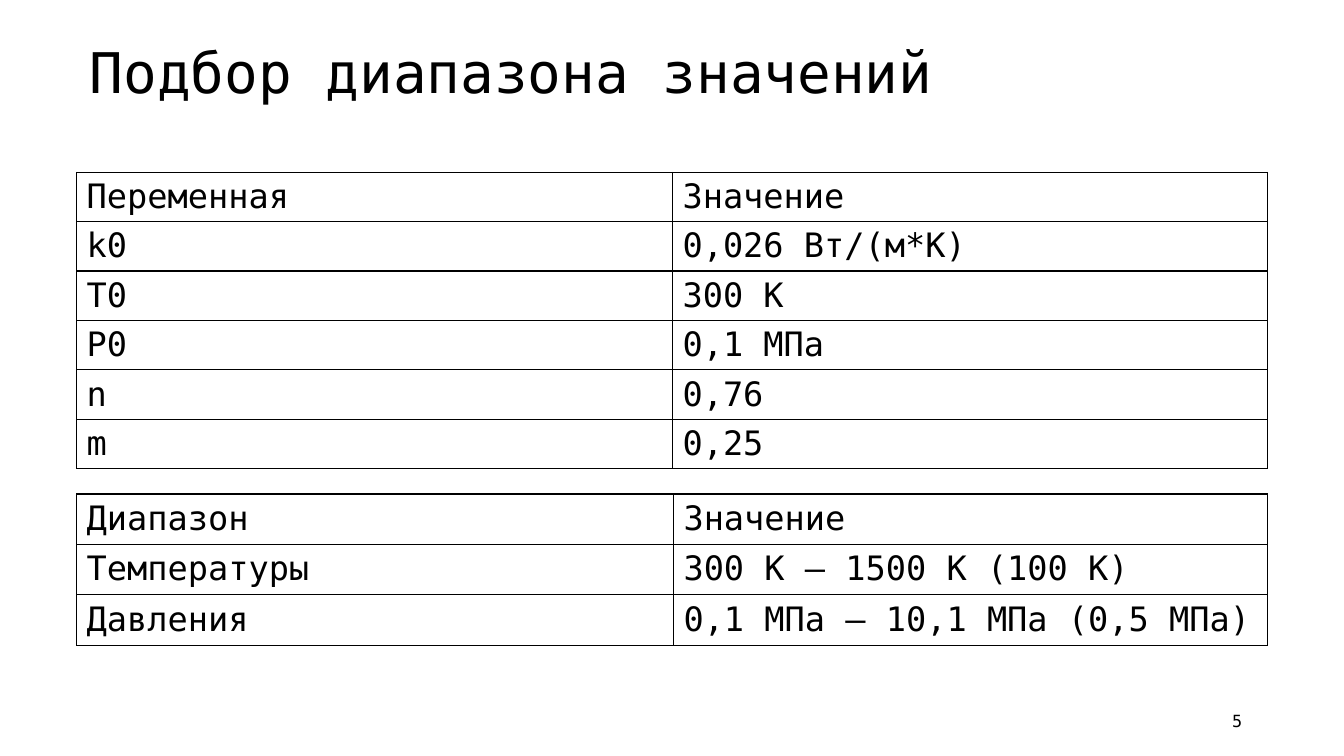
from lxml import etree
from pptx import Presentation
from pptx.dml.color import RGBColor
from pptx.enum.text import MSO_ANCHOR, MSO_AUTO_SIZE, PP_ALIGN
from pptx.oxml.ns import qn
from pptx.util import Inches, Pt

BLACK = RGBColor(0x00, 0x00, 0x00)
LEFT, RIGHT = PP_ALIGN.LEFT, PP_ALIGN.RIGHT
MIDDLE = MSO_ANCHOR.MIDDLE
NO_AUTOFIT = MSO_AUTO_SIZE.NONE

VARIABLES = [
    ("Переменная", "Значение"),
    ("k0", "0,026 Вт/(м*К)"),
    ("T0", "300 К"),
    ("P0", "0,1 МПа"),
    ("n", "0,76"),
    ("m", "0,25"),
]
RANGES = [
    ("Диапазон", "Значение"),
    ("Температуры", "300 К – 1500 К (100 К)"),
    ("Давления", "0,1 МПа – 10,1 МПа (0,5 МПа)"),
]


class SlideBuilder:
    font = "DejaVu Sans Mono"
    color = BLACK
    row_height = 0.49

    def __init__(self, prs):
        self.slide = prs.slides.add_slide(prs.slide_layouts[5])

    def set_text(self, tf, text, size, align=LEFT):
        tf.text = text
        p = tf.paragraphs[0]
        p.alignment = align
        for r in p.runs:
            r.font.name = self.font
            r.font.size = Pt(size)
            r.font.color.rgb = self.color
        return p

    def title(self, text, left, top, width, height):
        sp = self.slide.shapes.title
        sp.left, sp.top = Inches(left), Inches(top)
        sp.width, sp.height = Inches(width), Inches(height)
        tf = sp.text_frame
        tf.word_wrap = True
        tf.auto_size = NO_AUTOFIT
        tf.vertical_anchor = MIDDLE
        self.set_text(tf, text, 40).line_spacing = 0.9

    def page_number(self, text, left, top, width, height):
        sp = self.slide.shapes.add_textbox(
            Inches(left), Inches(top), Inches(width), Inches(height))
        tf = sp.text_frame
        tf.word_wrap = True
        tf.vertical_anchor = MIDDLE
        self.set_text(tf, text, 12, RIGHT)

    def table(self, rows, left, top, col_widths):
        frame = self.slide.shapes.add_table(
            len(rows), len(col_widths), Inches(left), Inches(top),
            Inches(sum(col_widths)), Inches(self.row_height * len(rows)))
        table = frame.table
        table.first_row = table.horz_banding = False
        for column, width in zip(table.columns, col_widths):
            column.width = Inches(width)
        for row, texts in zip(table.rows, rows):
            row.height = Inches(self.row_height)
            for cell, text in zip(row.cells, texts):
                self.set_text(cell.text_frame, text, 24)
                self.border(cell)
                cell.fill.background()

    def border(self, cell):
        """Draw a 1 pt line on all four sides of the cell."""
        tc_pr = cell._tc.get_or_add_tcPr()
        for side in ("a:lnL", "a:lnR", "a:lnT", "a:lnB"):
            ln = etree.SubElement(tc_pr, qn(side), w=str(Pt(1)))
            fill = etree.SubElement(ln, qn("a:solidFill"))
            etree.SubElement(fill, qn("a:srgbClr"), val=str(self.color))


def main():
    prs = Presentation()
    prs.slide_width, prs.slide_height = Inches(13.33), Inches(7.5)
    builder = SlideBuilder(prs)
    builder.title("Подбор диапазона значений", 0.79, 0.26, 12.34, 0.97)
    builder.table(VARIABLES, 0.76, 1.71, (5.91, 5.9))
    builder.page_number("5", 9.42, 6.95, 3, 0.4)
    builder.table(RANGES, 0.76, 4.9, (5.92, 5.89))
    prs.save("out.pptx")


if __name__ == "__main__":
    main()
